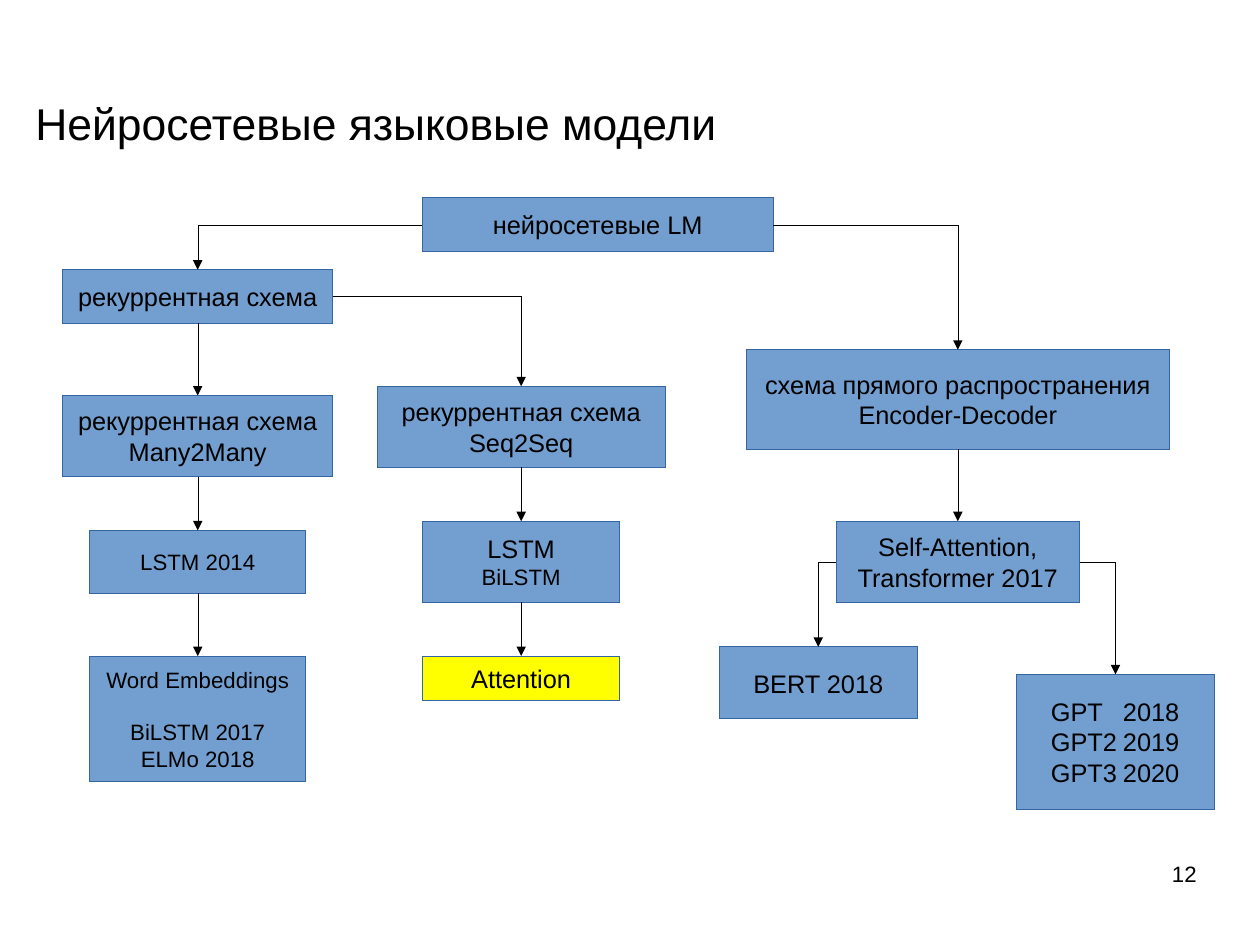
from collections import namedtuple

from lxml.etree import SubElement
from pptx import Presentation
from pptx.dml.color import RGBColor
from pptx.enum.shapes import MSO_CONNECTOR as Connector, MSO_SHAPE as Shape
from pptx.enum.text import MSO_ANCHOR as Anchor, PP_ALIGN as Align
from pptx.oxml.ns import qn
from pptx.util import Inches, Pt

BLACK = RGBColor(0x00, 0x00, 0x00)
BLUE = RGBColor(0x72, 0x9F, 0xCF)
BORDER = RGBColor(0x34, 0x65, 0xA4)
YELLOW = RGBColor(0xFF, 0xFF, 0x00)

CM_PER_INCH = 2.54
TOP, LEFT, BOTTOM, RIGHT = range(4)
Box = namedtuple("Box", "left top width height")
Node = namedtuple("Node", "center top width height lines size fill", defaults=(16, BLUE))

NODES = {
    "root": Node(4.68, 0, 3.07, 0.47, ["нейросетевые LM"]),
    "recurrent": Node(1.18, 0.63, 2.36, 0.47, ["рекуррентная схема"]),
    "many2many": Node(1.18, 1.73, 2.36, 0.71, ["рекуррентная схема", "Many2Many"]),
    "lstm 2014": Node(1.18, 2.91, 1.89, 0.55, ["LSTM 2014"], 14),
    "embeddings": Node(1.18, 4.01, 1.89, 1.1,
                       ["Word Embeddings", "BiLSTM 2017", "ELMo 2018"], 14),
    "seq2seq": Node(4.01, 1.65, 2.52, 0.71, ["рекуррентная схема", "Seq2Seq"]),
    "lstm": Node(4.01, 2.83, 1.73, 0.71, ["LSTM", "BiLSTM"]),
    "attention": Node(4.01, 4.01, 1.73, 0.39, ["Attention"], 16, YELLOW),
    "feedforward": Node(7.83, 1.33, 3.7, 0.87,
                        ["схема прямого распространения", "Encoder-Decoder"]),
    "transformer": Node(7.83, 2.83, 2.13, 0.71, ["Self-Attention,", "Transformer 2017"]),
    "bert": Node(6.61, 3.93, 1.73, 0.63, ["BERT 2018"]),
    "gpt": Node(9.21, 4.17, 1.73, 1.18, ["GPT\t2018", "GPT2\t2019", "GPT3\t2020"]),
}

ARROWS = [
    ("root", LEFT, "recurrent"),
    ("root", RIGHT, "feedforward"),
    ("recurrent", BOTTOM, "many2many"),
    ("recurrent", RIGHT, "seq2seq"),
    ("many2many", BOTTOM, "lstm 2014"),
    ("lstm 2014", BOTTOM, "embeddings"),
    ("seq2seq", BOTTOM, "lstm"),
    ("lstm", BOTTOM, "attention"),
    ("feedforward", BOTTOM, "transformer"),
    ("transformer", LEFT, "bert"),
    ("transformer", RIGHT, "gpt"),
]

NODE_FRAME = {
    "vertical_anchor": Anchor.MIDDLE, "word_wrap": False,
    "margin_left": Inches(0.1), "margin_right": Inches(0.1),
    "margin_top": Inches(0.05), "margin_bottom": Inches(0.05),
}
PLAIN_FRAME = {
    "word_wrap": True, "margin_left": 0, "margin_right": 0,
    "margin_top": 0, "margin_bottom": 0,
}


def apply_format(target, values):
    """Set every attribute named in values on the target."""
    for name, value in values.items():
        setattr(target, name, value)


def draw_hairline(shape, color):
    """Give the shape the thinnest line and return the line element."""
    shape.line.color.rgb = color
    line = shape.element.spPr.find(qn("a:ln"))
    line.set("w", "0")
    return line


def write_lines(text_frame, lines, size, alignment):
    """Write one paragraph per line and return the paragraphs."""
    text_frame.text = "\n".join(lines)
    for paragraph in text_frame.paragraphs:
        paragraph.alignment = alignment
        apply_format(paragraph.font, {"name": "Arial", "size": Pt(size)})
        paragraph.font.color.rgb = BLACK
    return text_frame.paragraphs


def draw_text(slide, box, text, size, alignment, anchor):
    """Place a single line of plain text in the box."""
    text_frame = slide.shapes.add_textbox(*map(Inches, box)).text_frame
    apply_format(text_frame, {**PLAIN_FRAME, "vertical_anchor": anchor})
    write_lines(text_frame, [text], size, alignment)


def draw_node(slide, box, node):
    """Draw a bordered node filling the box and return its shape and paragraphs."""
    shape = slide.shapes.add_shape(Shape.RECTANGLE, *map(Inches, box))
    shape.shadow.inherit = False
    shape.fill.solid()
    shape.fill.fore_color.rgb = node.fill
    draw_hairline(shape, BORDER)
    apply_format(shape.text_frame, NODE_FRAME)
    return shape, write_lines(shape.text_frame, node.lines, node.size, Align.CENTER)


def align_years(shape, paragraphs):
    """Line up the years of a node in a column with a tab stop."""
    apply_format(shape.text_frame, {"word_wrap": True, "margin_left": Inches(0.3)})
    for paragraph in paragraphs:
        paragraph.alignment = Align.LEFT
        properties = paragraph.font._element.getparent()
        tabs = properties.makeelement(qn("a:tabLst"))
        properties.insert(0, tabs)
        SubElement(tabs, qn("a:tab"), pos=str(Inches(0.63)), algn="l")


def draw_arrow(slide, source, side, target):
    """Join a side of the source to the top of the target with an arrow."""
    kind = Connector.STRAIGHT if side == BOTTOM else Connector.ELBOW
    connector = slide.shapes.add_connector(kind, 0, 0, 0, 0)
    connector.begin_connect(source, side)
    connector.end_connect(target, TOP)
    line = draw_hairline(connector, BLACK)
    SubElement(line, qn("a:tailEnd"), type="triangle")
    properties = connector.element.spPr
    if kind == Connector.ELBOW:
        properties.find(qn("a:prstGeom")).set("prst", "bentConnector2")
    SubElement(properties, qn("a:effectLst"))


def draw_diagram(slide, box):
    """Draw the tree of language models from the top left of the box."""
    shapes = {}
    for name, node in NODES.items():
        node_box = Box(box.left + node.center - node.width / 2, box.top + node.top,
                       node.width, node.height)
        shapes[name], paragraphs = draw_node(slide, node_box, node)
        if name == "lstm":
            paragraphs[1].font.size = Pt(14)
        elif name == "embeddings":
            paragraphs[1].space_before = Pt(16)
        elif name == "gpt":
            align_years(shapes[name], paragraphs)
    for source, side, target in ARROWS:
        draw_arrow(slide, shapes[source], side, shapes[target])


def main():
    """Build the slide and save the presentation."""
    presentation = Presentation()
    presentation.slide_width = Inches(28 / CM_PER_INCH)
    presentation.slide_height = Inches(21 / CM_PER_INCH)
    slide = presentation.slides.add_slide(presentation.slide_layouts[6])
    draw_text(slide, Box(0.31, 0.81, 7.95, 0.53), "Нейросетевые языковые модели",
              28, Align.LEFT, Anchor.MIDDLE)
    draw_diagram(slide, Box(0.55, 1.73, 10.08, 5.36))
    draw_text(slide, Box(7.9, 7.53, 2.57, 0.57), "12", 14, Align.RIGHT, Anchor.TOP)
    presentation.save("out.pptx")


if __name__ == "__main__":
    main()
